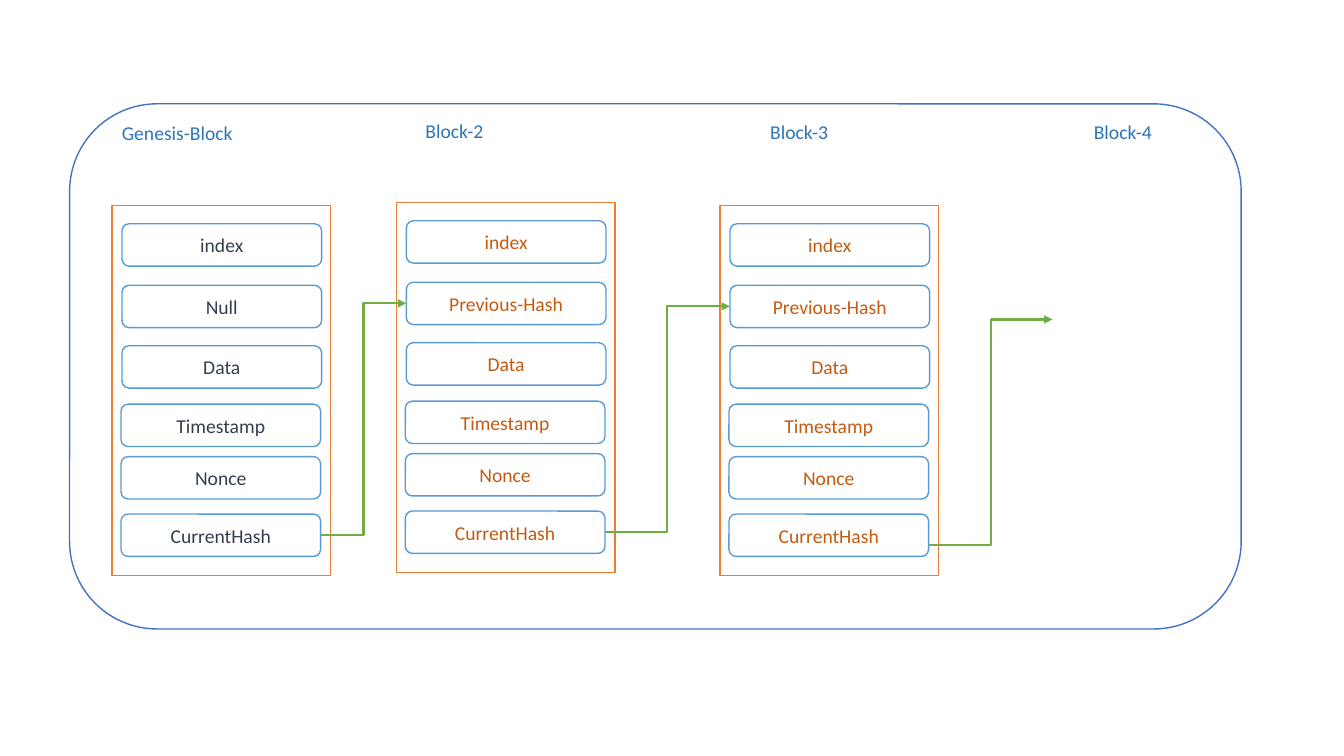
import pptx
import pptx.util
import pptx.dml.color
import pptx.enum.shapes
import pptx.enum.text
import pptx.oxml
import pptx.oxml.ns

Inches = pptx.util.Inches
Pt = pptx.util.Pt
RGBColor = pptx.dml.color.RGBColor
SHAPE = pptx.enum.shapes.MSO_SHAPE

WHITE = RGBColor(0xFF, 0xFF, 0xFF)
CHAIN_BLUE = RGBColor(0x44, 0x72, 0xC4)
FIELD_BLUE = RGBColor(0x5B, 0x9B, 0xD5)
LABEL_BLUE = RGBColor(0x2E, 0x75, 0xB6)
BLOCK_ORANGE = RGBColor(0xED, 0x7D, 0x31)
FIELD_ORANGE = RGBColor(0xC5, 0x5A, 0x11)
GENESIS_GREY = RGBColor(0x33, 0x3F, 0x50)
ARROW_GREEN = RGBColor(0x70, 0xAD, 0x47)

FIELD_ROWS = [
    (0.10, 0.18), (0.10, 0.79), (0.10, 1.39),
    (0.09, 1.97), (0.09, 2.49), (0.09, 3.06),
]
BLOCKS = [
    (1.11, 2.04, "Null", GENESIS_GREY),
    (3.93, 2.01, "Previous-Hash", FIELD_ORANGE),
    (7.14, 2.04, "Previous-Hash", FIELD_ORANGE),
]
LABELS = [
    ("Genesis-Block", 1.11, 1.15, 1.31),
    ("Block-2", 4.12, 1.13, 0.79),
    ("Block-3", 7.54, 1.14, 0.79),
    ("Block-4", 10.75, 1.14, 0.79),
]


def add_outline(shapes, kind, left, top, width, height, color):
    box = shapes.add_shape(
        kind, Inches(left), Inches(top), Inches(width), Inches(height))
    box.shadow.inherit = False
    box.fill.solid()
    box.fill.fore_color.rgb = WHITE
    box.line.color.rgb = color
    box.line.width = Pt(1)
    return box


def write_text(frame, text, color, alignment):
    para = frame.paragraphs[0]
    para.text = text
    para.alignment = alignment
    para.font.name = "Calibri"
    para.font.size = Pt(14)
    para.font.color.rgb = color


def add_block(page, left, top, second_field, color):
    group = page.shapes.add_group_shape()
    add_outline(group.shapes, SHAPE.RECTANGLE, left, top, 2.17, 3.67, BLOCK_ORANGE)
    names = ["index", second_field, "Data", "Timestamp", "Nonce", "CurrentHash"]
    fields = []
    for name, (indent, drop) in zip(names, FIELD_ROWS):
        field = add_outline(group.shapes, SHAPE.ROUNDED_RECTANGLE,
                            left + indent, top + drop, 1.98, 0.42, FIELD_BLUE)
        field.text_frame.vertical_anchor = pptx.enum.text.MSO_ANCHOR.MIDDLE
        write_text(field.text_frame, name, color, pptx.enum.text.PP_ALIGN.CENTER)
        fields.append(field)
    return fields


def add_label(page, text, left, top, width):
    box = page.shapes.add_textbox(
        Inches(left), Inches(top), Inches(width), Inches(0.28))
    box.text_frame.word_wrap = False
    box.text_frame.auto_size = pptx.enum.text.MSO_AUTO_SIZE.SHAPE_TO_FIT_TEXT
    write_text(box.text_frame, text, LABEL_BLUE, pptx.enum.text.PP_ALIGN.LEFT)


def add_hash_arrow(page, start_x, start_y, end_x, end_y):
    arrow = page.shapes.add_connector(
        pptx.enum.shapes.MSO_CONNECTOR.ELBOW,
        Inches(start_x), Inches(start_y), Inches(end_x), Inches(end_y))
    arrow.line.color.rgb = ARROW_GREEN
    arrow.line.width = Pt(1.5)
    tail = pptx.oxml.parse_xml(
        f'<a:tailEnd {pptx.oxml.ns.nsdecls("a")} type="triangle"/>')
    arrow.line._get_or_add_ln().append(tail)
    arrow._element.spPr.append(
        pptx.oxml.parse_xml(f'<a:effectLst {pptx.oxml.ns.nsdecls("a")}/>'))
    return arrow


def main():
    deck = pptx.Presentation()
    deck.slide_width = Inches(13.33)
    deck.slide_height = Inches(7.5)
    page = deck.slides.add_slide(deck.slide_layouts[6])

    add_outline(page.shapes, SHAPE.ROUNDED_RECTANGLE,
                0.69, 1.03, 11.62, 5.21, CHAIN_BLUE)
    genesis, second, third = [add_block(page, *block) for block in BLOCKS]
    for label in LABELS:
        add_label(page, *label)

    links = [
        (genesis, second, (3.18, 5.31, 4.03, 3.01)),
        (second, third, (6.0, 5.28, 7.24, 3.04)),
    ]
    for source, target, ends in links:
        arrow = add_hash_arrow(page, *ends)
        arrow.begin_connect(source[-1], 3)
        arrow.end_connect(target[1], 1)
    add_hash_arrow(page, 9.21, 5.41, 10.44, 3.17)

    deck.save("out.pptx")


if __name__ == "__main__":
    main()
